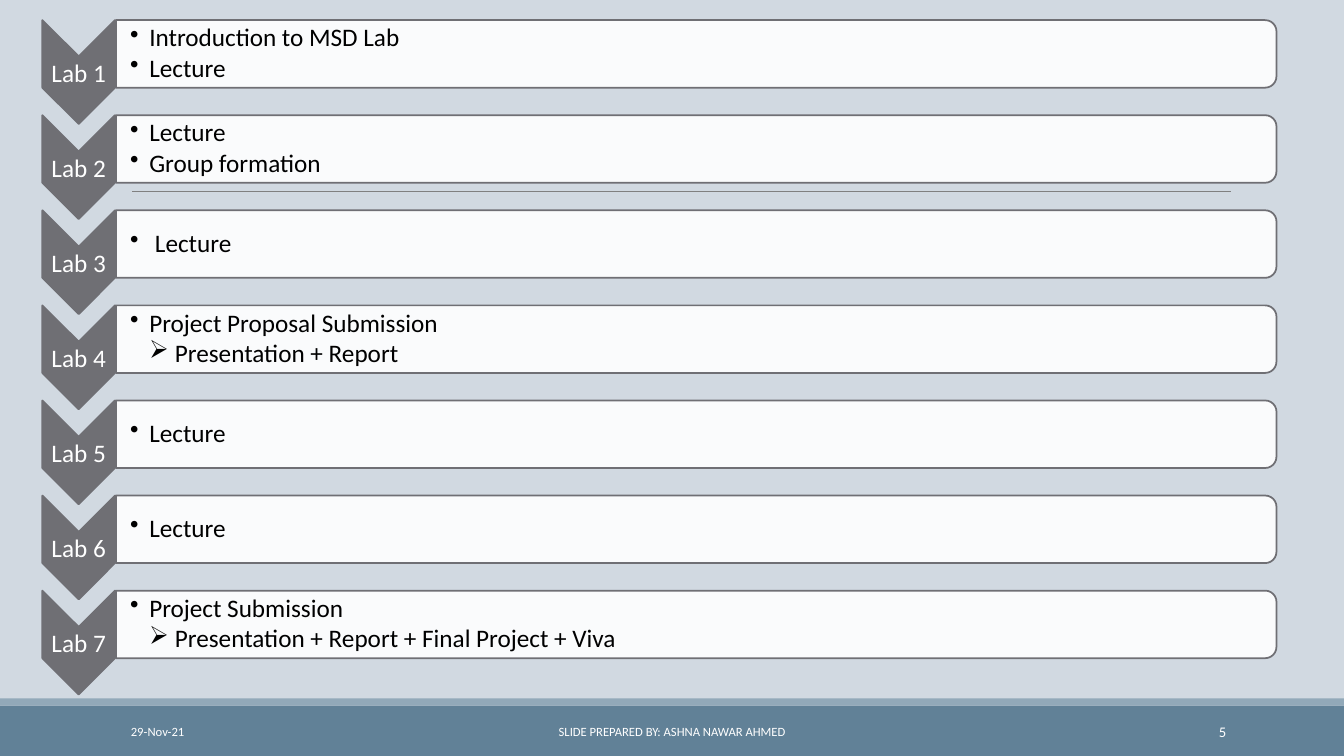
import pptx
import pptx.util
import pptx.dml.color
import pptx.enum.shapes
import pptx.enum.text
import pptx.oxml.ns
import lxml.etree

Inches, Pt = pptx.util.Inches, pptx.util.Pt
SHAPE = pptx.enum.shapes.MSO_SHAPE
ALIGN = pptx.enum.text.PP_ALIGN
qn = pptx.oxml.ns.qn

WIDTH, HEIGHT = 13.33, 7.5
GREY, WHITE, BLACK = "6F6F74", "FFFFFF", "000000"
ROW_LEFT, ROW_TOP, ROW_WIDTH = 0.42, 0.2, 12.24
ROW_PITCH, CARD_HEIGHT = 0.9433, 0.67
CHEVRON_WIDTH, CHEVRON_HEIGHT = 0.72, 1.03
INDENT = 0.19

# Each lab lists its items as (level, text)
LABS = [
    [(1, "Introduction to MSD Lab"), (1, "Lecture")],
    [(1, "Lecture"), (1, "Group formation")],
    [(1, " Lecture")],
    [(1, "Project Proposal Submission"), (2, " Presentation + Report")],
    [(1, "Lecture")],
    [(1, "Lecture")],
    [(1, "Project Submission"),
     (2, " Presentation + Report + Final Project + Viva")],
]
BULLETS = {1: "•", 2: "➢"}


def color(value):
    return pptx.dml.color.RGBColor.from_string(value)


def add_shape(page, kind, left, top, width, height, fill, outline=None, turned=False):
    """Place a shape in the visible box; a turned one is rotated by 90 degrees."""
    if turned:
        left, top = left + (width - height) / 2, top + (height - width) / 2
        width, height = height, width
    shape = page.shapes.add_shape(
        kind, Inches(left), Inches(top), Inches(width), Inches(height))
    shape.rotation = 90 if turned else 0
    shape.shadow.inherit = False
    shape.fill.solid()
    shape.fill.fore_color.rgb = color(fill)
    if outline:
        shape.line.color.rgb = color(outline)
        shape.line.width = Pt(1.25)
    else:
        shape.line.fill.background()
    return shape


def add_text(page, left, top, width, height, items, size, ink,
             align=ALIGN.LEFT, insets=None, bulleted=False):
    box = page.shapes.add_textbox(
        Inches(left), Inches(top), Inches(width), Inches(height))
    frame = box.text_frame
    frame.word_wrap = True
    frame.vertical_anchor = pptx.enum.text.MSO_ANCHOR.MIDDLE
    if insets:
        frame.margin_left, frame.margin_right = Inches(insets[0]), Inches(insets[1])
        frame.margin_top = frame.margin_bottom = Inches(0.01)
    for index, (level, text) in enumerate(items):
        para = frame.paragraphs[0] if index == 0 else frame.add_paragraph()
        para.text = text
        para.alignment = align
        if bulleted:
            para.level = level
            para.line_spacing = 0.9
            para.space_after = Pt(2.4)
            properties = para._p.get_or_add_pPr()
            properties.set("marL", str(Inches(INDENT * level)))
            properties.set("indent", str(-Inches(INDENT)))
            bullet = lxml.etree.SubElement(properties, qn("a:buChar"))
            bullet.set("char", BULLETS[level])
        para.font.name = "Calibri"
        para.font.size = Pt(size)
        para.font.color.rgb = color(ink)


def add_lab(page, left, top, width, number, items):
    # Chevron with the lab number
    add_shape(page, SHAPE.CHEVRON, left, top, CHEVRON_WIDTH, CHEVRON_HEIGHT,
              GREY, GREY, turned=True)
    add_text(page, left, top + CHEVRON_WIDTH / 2, CHEVRON_WIDTH,
             CHEVRON_HEIGHT - CHEVRON_WIDTH, [(0, f"Lab {number}")], 18, WHITE,
             ALIGN.CENTER, insets=(0.01, 0.01))
    # Card with the items
    card_left, card_width = left + CHEVRON_WIDTH + 0.01, width - CHEVRON_WIDTH - 0.01
    card = add_shape(page, SHAPE.ROUND_2_SAME_RECTANGLE, card_left, top,
                     card_width, CARD_HEIGHT, WHITE, GREY, turned=True)
    fill_color = card._element.spPr.find(qn("a:solidFill"))[0]
    lxml.etree.SubElement(fill_color, qn("a:alpha")).set("val", "90000")
    add_text(page, card_left, top + 0.03, card_width - 0.03, CARD_HEIGHT - 0.06,
             items, 18, BLACK, insets=(0.14, 0.01), bulleted=True)


def add_backdrop(page):
    page.background.fill.solid()
    page.background.fill.fore_color.rgb = color("D1D9E1")
    add_shape(page, SHAPE.RECTANGLE, 0, 7, WIDTH, 0.5, "618197")
    add_shape(page, SHAPE.RECTANGLE, 0, 6.93, WIDTH, 0.07, "92A9B9")
    rule = page.shapes.add_connector(
        pptx.enum.shapes.MSO_CONNECTOR.STRAIGHT,
        Inches(1.31), Inches(1.9), Inches(12.21), Inches(1.9))
    rule.line.color.rgb = color("808080")
    rule.line.width = Pt(0.5)
    lxml.etree.SubElement(rule._element.spPr, qn("a:effectLst"))


def add_footer(page, top, height):
    for left, width, text, size, align in [
        (1.2, 2.7, "29-Nov-21", 9, ALIGN.LEFT),
        (4.03, 5.27, "SLIDE PREPARED BY: ASHNA NAWAR AHMED", 9, ALIGN.CENTER),
        (10.83, 1.43, "5", 10.5, ALIGN.RIGHT),
    ]:
        add_text(page, left, top, width, height, [(0, text)], size, WHITE, align)


def main():
    deck = pptx.Presentation()
    deck.slide_width, deck.slide_height = Inches(WIDTH), Inches(HEIGHT)
    page = deck.slides.add_slide(deck.slide_layouts[6])
    add_backdrop(page)
    for index, items in enumerate(LABS):
        add_lab(page, ROW_LEFT, ROW_TOP + index * ROW_PITCH, ROW_WIDTH,
                index + 1, items)
    add_footer(page, 7.06, 0.4)
    deck.save("out.pptx")


if __name__ == "__main__":
    main()
